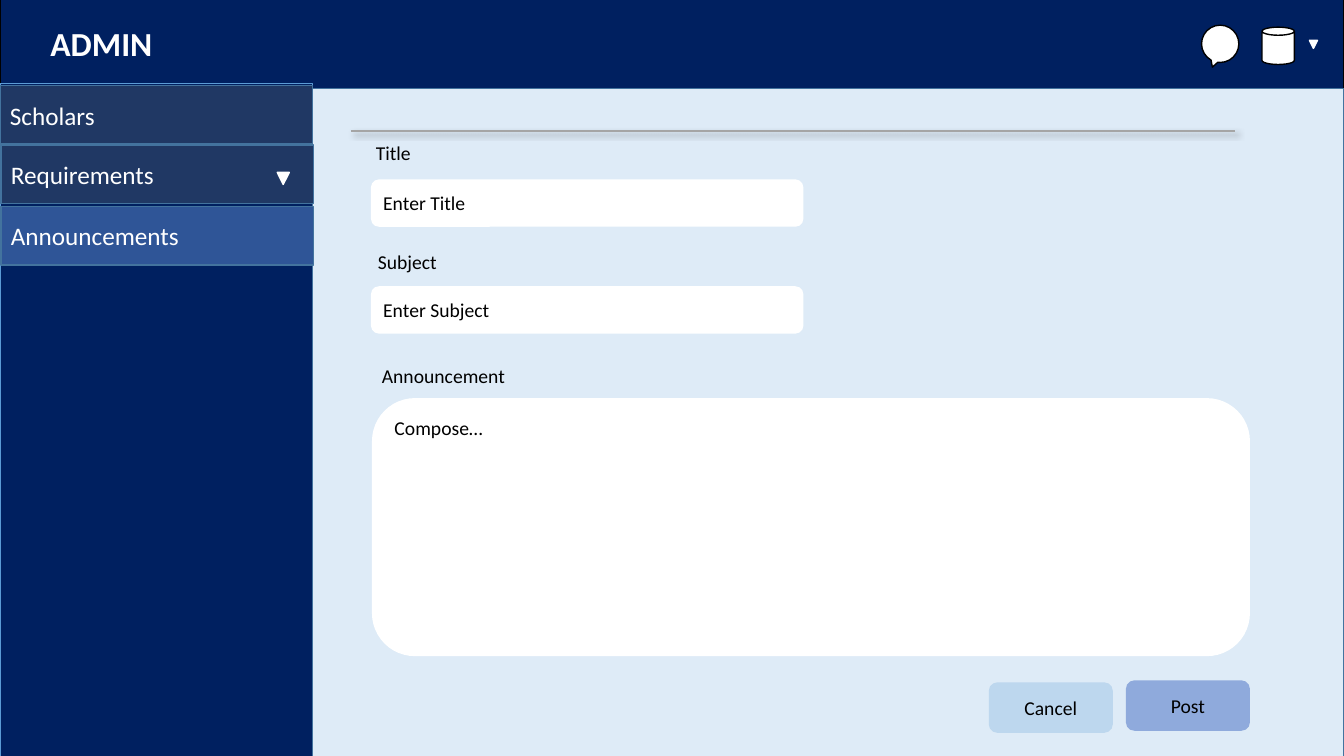
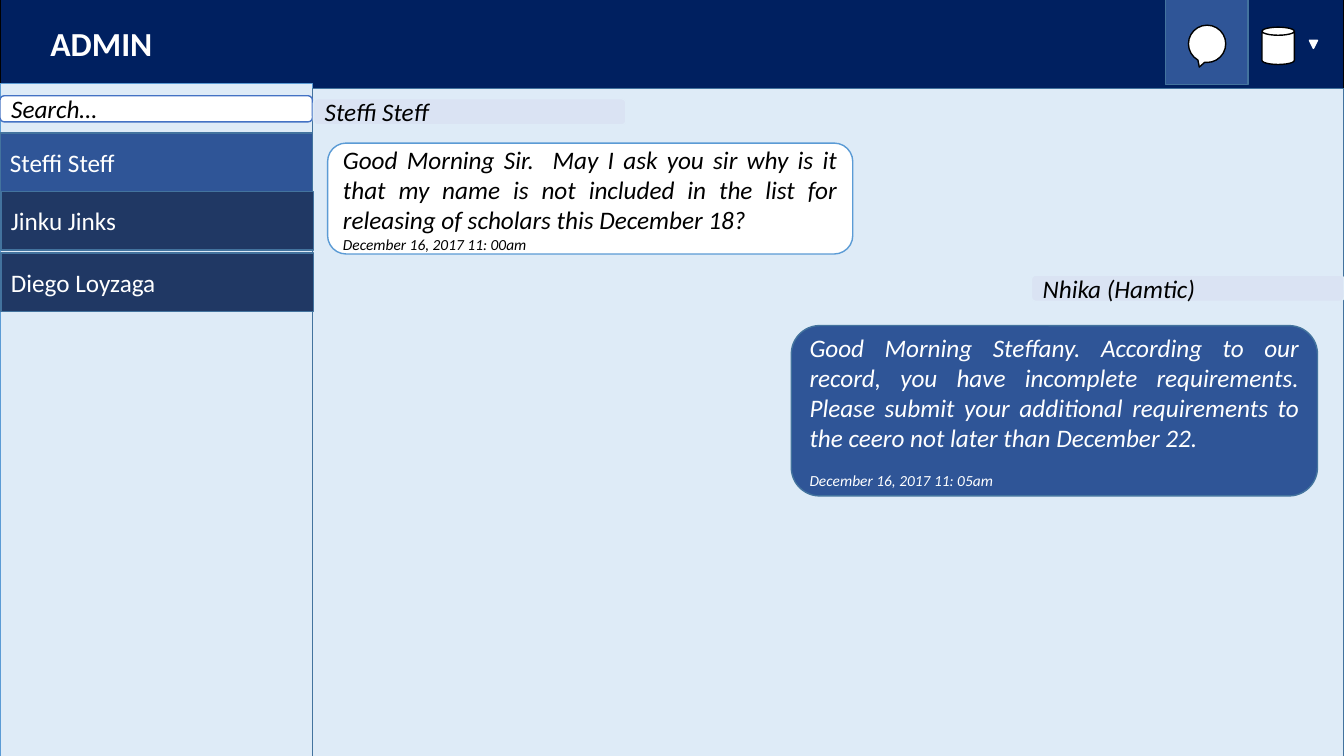
from lxml import etree
from pptx import Presentation
from pptx.dml.color import RGBColor
from pptx.enum.shapes import MSO_CONNECTOR, MSO_SHAPE
from pptx.enum.text import MSO_ANCHOR, MSO_AUTO_SIZE, PP_ALIGN
from pptx.oxml.ns import qn
from pptx.util import Inches, Pt

# Grid: square cells of a tenth of an inch
CELL = 0.1
COLS, ROWS = 133.33, 75
SIDE = 31  # columns taken by the sidebar

# Colours
NAVY, SLATE, BLUE = "002060", "203864", "2F5597"
PALE, EDGE, SKY = "DEEBF7", "43739E", "5B9BD5"
WHITE, BLACK = "FFFFFF", "000000"

# Text formats: font attributes
FORMATS = {
    "title": {"size": Pt(24), "bold": True},
    "menu": {"size": Pt(18)},
    "form": {"size": Pt(14)},
    "chat": {"size": Pt(18), "italic": True},
    "stamp": {"size": Pt(11), "italic": True},
}


def rgb(value):
    return RGBColor.from_string(value)


def cells(*counts):
    return [Inches(round(count * CELL, 3)) for count in counts]


class Screen:
    """Holds the deck, the current slide and the style of its elements."""

    def __init__(self):
        self.deck = Presentation()
        self.deck.slide_width, self.deck.slide_height = cells(COLS, ROWS)
        self.slide = None

    def start(self, sidebar_fill, chat_left):
        """Opens a slide with header band, sidebar and content area."""
        self.slide = self.deck.slides.add_slide(self.deck.slide_layouts[5])
        self.title("ADMIN")
        self.shape((0, 8.3, SIDE, 67), sidebar_fill, SKY)
        self.shape((SIDE, 8.8, COLS - SIDE, 66.5), PALE, EDGE)
        self.arrow(129.9, 4, 0.8)
        self.shape((125.2, 2.7, 3.2, 3.7), WHITE, BLACK, MSO_SHAPE.CAN)
        if chat_left < 119:  # the chat icon is selected
            self.shape((115.6, -0.6, 8.2, 9), BLUE, EDGE)
        self.shape((chat_left, 2.5, 3.7, 3.7), WHITE, BLACK,
                   MSO_SHAPE.OVAL_CALLOUT)

    def title(self, words):
        band = self.slide.shapes.title
        band.left, band.top, band.width, band.height = cells(0, -0.4, COLS, 9.4)
        self.paint(band, NAVY, BLACK)
        band.text_frame.margin_left = cells(5)[0]
        self.fill_text(band, [(words, "title")], WHITE)

    def paint(self, shape, fill, line):
        shape.fill.solid()
        shape.fill.fore_color.rgb = rgb(fill)
        if line:
            shape.line.color.rgb = rgb(line)
            shape.line.width = Pt(1)
        else:
            shape.line.fill.background()

    def fill_text(self, shape, lines, color, align=PP_ALIGN.LEFT,
                  anchor=MSO_ANCHOR.MIDDLE, gap=0):
        """Puts (words, format) pairs into a shape, one a paragraph."""
        frame = shape.text_frame
        frame.word_wrap = True
        frame.auto_size = MSO_AUTO_SIZE.NONE
        frame.vertical_anchor = anchor
        for index, (words, style) in enumerate(lines):
            paragraph = frame.add_paragraph() if index else frame.paragraphs[0]
            paragraph.alignment = align
            paragraph.space_before = Pt(gap if index else 0)
            run = paragraph.add_run()
            run.text = words
            run.font.name = "Calibri"
            run.font.color.rgb = rgb(color)
            for name, value in FORMATS[style].items():
                setattr(run.font, name, value)

    def shape(self, box, fill, line=None, kind=MSO_SHAPE.RECTANGLE):
        shape = self.slide.shapes.add_shape(kind, *cells(*box))
        shape.shadow.inherit = False
        self.paint(shape, fill, line)
        return shape

    def rounded(self, box, fill, line, lines, color=BLACK, **layout):
        shape = self.shape(box, fill, line, MSO_SHAPE.ROUNDED_RECTANGLE)
        self.fill_text(shape, lines, color, **layout)

    def arrow(self, left, top, size):
        self.shape((left, top, size, size), WHITE, WHITE,
                   MSO_SHAPE.FLOWCHART_MERGE)

    def menu_item(self, words, left, top, fill):
        item = self.shape((left, top, SIDE, 5.8), fill, EDGE)
        self.fill_text(item, [(words, "menu")], WHITE)

    def label(self, words, left, top):
        label = self.slide.shapes.add_textbox(*cells(left, top, 17.3, 3.4))
        self.fill_text(label, [(words, "form")], BLACK, anchor=MSO_ANCHOR.TOP)

    def name_tag(self, words, left, top):
        self.rounded((left, top, SIDE, 2.6), "DAE3F3", PALE, [(words, "chat")])

    def message(self, box, fill, line, words, stamp, color=BLACK, gap=0):
        self.rounded(box, fill, line, [(words, "chat"), (stamp, "stamp")],
                     color, align=PP_ALIGN.JUSTIFY, gap=gap)

    def divider(self, left, right, top):
        rule = self.slide.shapes.add_connector(
            MSO_CONNECTOR.STRAIGHT, *cells(left, top, right, top))
        rule.line.color.rgb = rgb("A5A5A5")
        rule.line.width = Pt(1.5)
        # Soft shadow to the lower right
        effects = etree.SubElement(rule._element.spPr, qn("a:effectLst"))
        shadow = etree.SubElement(
            effects, qn("a:outerShdw"), blurRad=str(Pt(4)), dist=str(Pt(3)),
            dir="2700000", algn="tl", rotWithShape="0")
        tint = etree.SubElement(shadow, qn("a:srgbClr"), val=BLACK)
        etree.SubElement(tint, qn("a:alpha"), val="40000")


def announcement_form(screen):
    screen.start(NAVY, chat_left=119.2)

    # Sidebar menu
    for words, left, top, fill in (("Scholars", 0, 8.5, SLATE),
                                   ("Requirements", 0.1, 14.4, SLATE),
                                   ("Announcements", 0.1, 20.5, BLUE)):
        screen.menu_item(words, left, top, fill)
    screen.arrow(27.5, 17.1, 1.2)

    # Form fields
    screen.divider(34.8, 122.5, 13)
    for words, left, top, field_top in (("Title", 36.3, 13.5, 17.8),
                                        ("Subject", 36.5, 24.3, 28.4)):
        screen.label(words, left, top)
        screen.rounded((36.8, field_top, 42.9, 4.7), WHITE, None,
                       [(f"Enter {words}", "form")])
    screen.label("Announcement", 36.9, 35.6)
    screen.rounded((36.9, 39.5, 87.1, 25.6), WHITE, None,
                   [("Compose…", "form")], anchor=MSO_ANCHOR.TOP)

    # Buttons
    for words, left, top, fill in (("Cancel", 98.1, 67.7, "BDD7EE"),
                                   ("Post", 111.7, 67.5, "8FAADC")):
        screen.rounded((left, top, 12.3, 5), fill, None, [(words, "form")],
                       align=PP_ALIGN.CENTER)


def chat_inbox(screen):
    screen.start(PALE, chat_left=117.9)

    # Search field and contacts
    screen.rounded((0, 9.5, SIDE, 2.6), WHITE, "4472C4", [("Search…", "chat")])
    for words, left, top, fill in (("Steffi Steff", 0, 13.2, BLUE),
                                   ("Jinku Jinks", 0.1, 19, SLATE),
                                   ("Diego Loyzaga", 0.1, 25.1, SLATE)):
        screen.menu_item(words, left, top, fill)

    # Conversation
    screen.name_tag("Steffi Steff", 31.1, 9.8)
    screen.message(
        (32.5, 14.2, 52.1, 11), WHITE, SKY,
        "Good Morning Sir.  May I ask you sir why is it that my name is not "
        "included in the list for releasing of scholars this December 18?",
        "December 16, 2017 11: 00am")
    screen.name_tag("Nhika (Hamtic)", COLS - SIDE, 27.3)
    screen.message(
        (78.5, 32.3, 52.2, 16.9), BLUE, EDGE,
        "Good Morning Steffany. According to our record, you have incomplete "
        "requirements. Please submit your additional requirements to the "
        "ceero not later than December 22.",
        "December 16, 2017 11: 05am", WHITE, gap=13)


def main():
    screen = Screen()
    announcement_form(screen)
    chat_inbox(screen)
    screen.deck.save("out.pptx")


if __name__ == "__main__":
    main()
